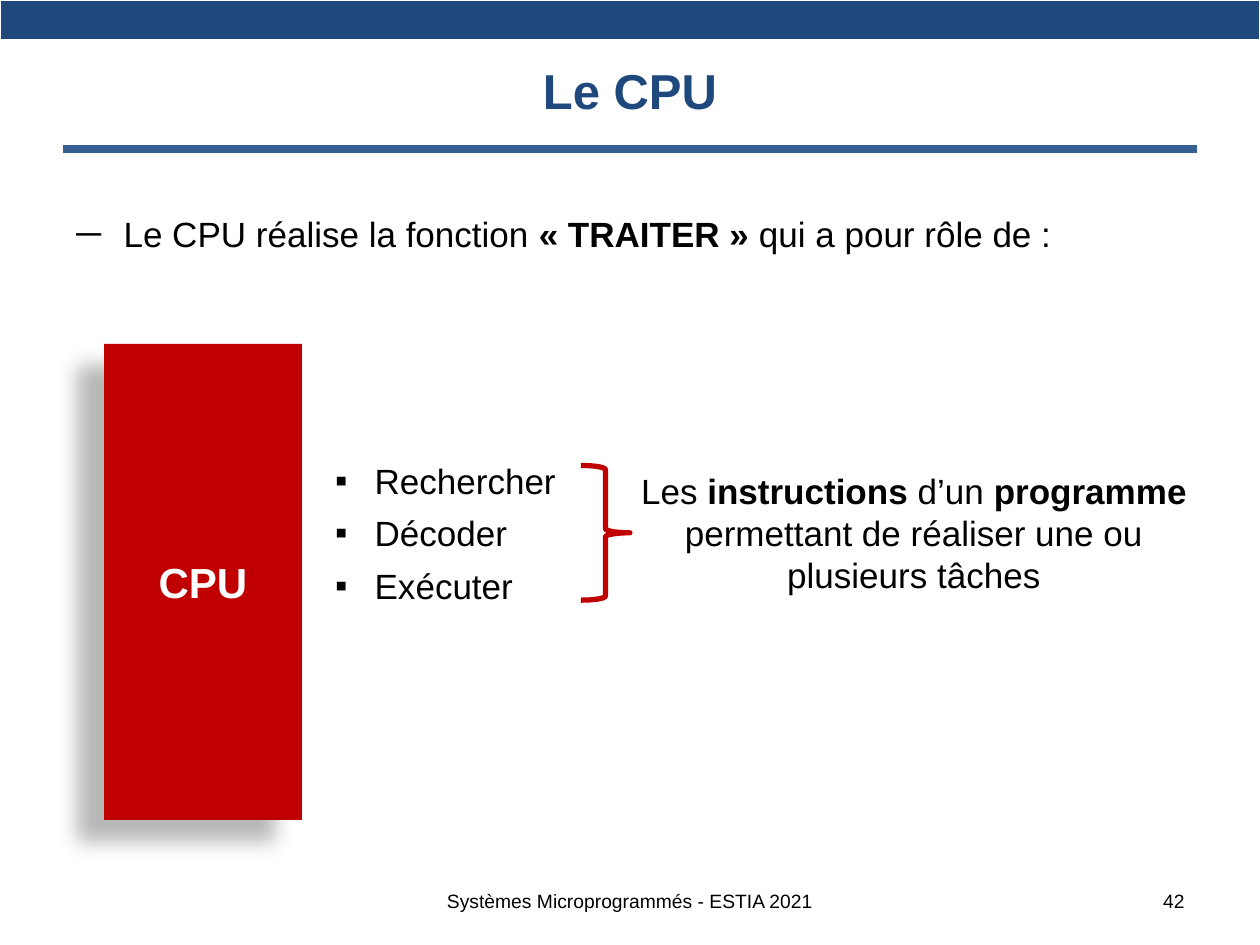
from collections import namedtuple
from dataclasses import dataclass

from lxml import etree
from pptx import Presentation
from pptx import util as u
from pptx.dml.color import RGBColor
from pptx.enum import shapes, text
from pptx.oxml import ns

Box = namedtuple("Box", "left top width height")
ALIGN = text.PP_ALIGN
ANCHOR = text.MSO_ANCHOR


@dataclass(frozen=True)
class Theme:
    font: str = "Arial"
    navy: str = "1F497D"
    blue: str = "376092"
    red: str = "C00000"
    black: str = "000000"
    white: str = "FFFFFF"
    title: float = 28
    label: float = 24
    body: float = 20
    footer: float = 11


THEME = Theme()


def color(value):
    return RGBColor.from_string(value)


def points(*values):
    return [u.Pt(value) for value in values]


def add_element(parent, tag, **attributes):
    element = etree.SubElement(parent, ns.qn(tag))
    for name, value in attributes.items():
        element.set(name, str(value))
    return element


def add_bullet(paragraph, character, indent):
    properties = paragraph._p.get_or_add_pPr()
    properties.set("marL", str(u.Pt(indent)))
    properties.set("indent", str(u.Pt(-indent)))
    add_element(properties, "a:buFont", typeface=THEME.font)
    add_element(properties, "a:buChar", char=character)


def write_text(shape, paragraphs, size=THEME.body, fill=THEME.black, bold=False,
               align=ALIGN.CENTER, anchor=ANCHOR.MIDDLE, bullet=None, indent=0, gap=0):
    frame = shape.text_frame
    frame.word_wrap = True
    frame.vertical_anchor = anchor
    for index, runs in enumerate(paragraphs):
        paragraph = frame.add_paragraph() if index else frame.paragraphs[0]
        paragraph.alignment = align
        if index and gap:
            paragraph.space_before = u.Pt(gap)
        if bullet:
            add_bullet(paragraph, bullet, indent)
        for content, emphasis in runs:
            run = paragraph.add_run()
            run.text = content
            run.font.name = THEME.font
            run.font.size = u.Pt(size)
            run.font.bold = bold or emphasis
            run.font.color.rgb = color(fill)


def add_text(slide, box, paragraphs, **style):
    write_text(slide.shapes.add_textbox(*points(*box)), paragraphs, **style)


def add_header(slide, box):
    band_height = 22.5
    frame = slide.shapes.add_table(1, 1, *points(box.left, box.top, box.width, band_height))
    table = frame.table
    table.first_row = table.horz_banding = False
    cell = table.cell(0, 0)
    cell.margin_left = cell.margin_right = cell.margin_top = cell.margin_bottom = 0
    cell.fill.solid()
    cell.fill.fore_color.rgb = color(THEME.navy)

    margin = 36
    rule_y = box.top + box.height
    rule = slide.shapes.add_connector(
        shapes.MSO_CONNECTOR.STRAIGHT,
        *points(box.left + margin, rule_y, box.left + box.width - margin, rule_y))
    rule.line.color.rgb = color(THEME.blue)
    rule.line.width = u.Pt(4.5)
    add_element(rule._element.spPr, "a:effectLst")

    title_box = Box(box.left + margin, box.top + 12.5, box.width - 2 * margin, 77.5)
    add_text(slide, title_box, [[("Le CPU", False)]],
             size=THEME.title, fill=THEME.navy, bold=True)


def add_introduction(slide, box):
    runs = [("Le CPU réalise la fonction ", False),
            ("«\u00a0TRAITER\u00a0»", True),
            (" qui a pour rôle de :", False)]
    add_text(slide, box, [runs], align=ALIGN.JUSTIFY, anchor=ANCHOR.TOP,
             bullet="─", indent=27)


def add_processor(slide, box):
    block = slide.shapes.add_shape(shapes.MSO_SHAPE.RECTANGLE, *points(*box))
    block.fill.solid()
    block.fill.fore_color.rgb = color(THEME.red)
    block.line.fill.background()
    block.shadow.inherit = False
    effects = block._element.spPr.find(ns.qn("a:effectLst"))
    shadow = add_element(effects, "a:outerShdw", blurRad=u.Pt(11.8), dist=u.Pt(19.7),
                         dir=141 * 60000, algn="tl", rotWithShape=0)
    tint = add_element(shadow, "a:srgbClr", val=THEME.black)
    add_element(tint, "a:alpha", val=28000)
    write_text(block, [[("CPU", False)]], size=THEME.label, fill=THEME.white, bold=True)


def add_steps(slide, box):
    steps = ["Rechercher", "Décoder", "Exécuter"]
    list_box = Box(box.left, box.top, 150, box.height)
    add_text(slide, list_box, [[(step, False)] for step in steps],
             align=ALIGN.JUSTIFY, bullet="▪", indent=22.5, gap=6)

    brace_box = Box(box.left + 147.5, box.top + 1.5, 28, box.height - 3)
    brace = slide.shapes.add_shape(shapes.MSO_SHAPE.RIGHT_BRACE, *points(*brace_box))
    brace.shadow.inherit = False
    brace.fill.background()
    brace.line.color.rgb = color(THEME.red)
    brace.line.width = u.Pt(3)

    result_left = 170.5
    result_box = Box(box.left + result_left, box.top, box.width - result_left, box.height)
    result = [[("Les ", False), ("instructions", True), (" d’un ", False), ("programme", True)],
              [("permettant de réaliser une ou plusieurs tâches", False)]]
    add_text(slide, result_box, result, anchor=ANCHOR.TOP)


def add_footer(slide, box):
    side = 168
    center_box = Box(box.left + side, box.top, box.width - 2 * side, box.height)
    number_box = Box(box.left + box.width - side, box.top, side, box.height)
    add_text(slide, center_box, [[("Systèmes Microprogrammés - ESTIA 2021", False)]],
             size=THEME.footer)
    add_text(slide, number_box, [[("42", False)]], size=THEME.footer, align=ALIGN.RIGHT)


def main():
    presentation = Presentation()
    presentation.slide_width, presentation.slide_height = points(720, 540)
    slide = presentation.slides.add_slide(presentation.slide_layouts[6])
    add_header(slide, Box(0, 0, 720, 85))
    add_introduction(slide, Box(36.5, 118, 652.5, 36))
    add_processor(slide, Box(59.5, 196.5, 113, 272))
    add_steps(slide, Box(184.5, 264.5, 505, 80))
    add_footer(slide, Box(36, 500.5, 648, 29))
    presentation.save("out.pptx")


if __name__ == "__main__":
    main()
